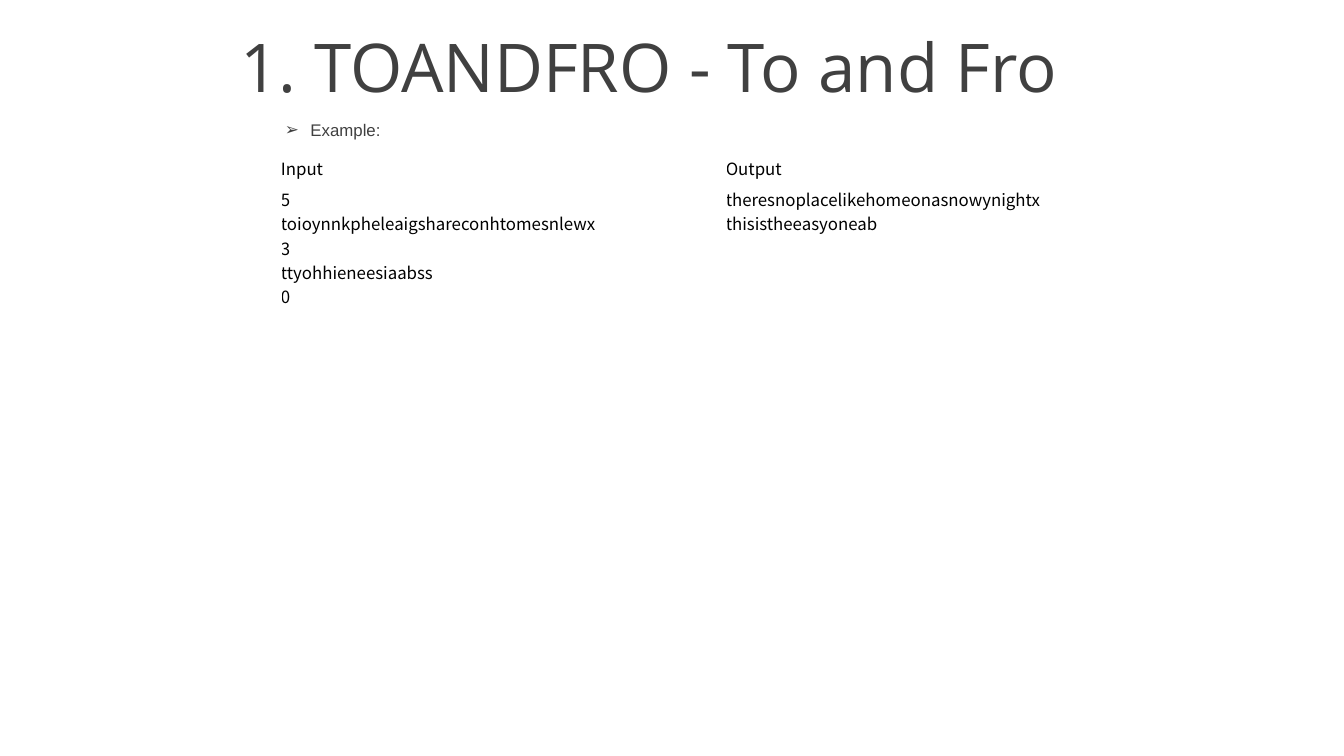
from lxml import etree
from pptx import Presentation
from pptx.dml.color import RGBColor
from pptx.enum.text import MSO_ANCHOR, MSO_AUTO_SIZE, PP_ALIGN
from pptx.oxml.ns import qn
from pptx.util import Inches, Pt

TOP, MIDDLE = MSO_ANCHOR.TOP, MSO_ANCHOR.MIDDLE
LEFT, JUSTIFY = PP_ALIGN.LEFT, PP_ALIGN.JUSTIFY
NO_FIT = MSO_AUTO_SIZE.NONE
GRAY, BLACK = RGBColor(0x40, 0x40, 0x40), RGBColor(0, 0, 0)

TITLE = "1. TOANDFRO - To and Fro"
LEAD = "Example:"
SAMPLES = [
    ("Input", ["5", "toioynnkpheleaigshareconhtomesnlewx", "3",
               "ttyohhieneesiaabss", "0"]),
    ("Output", ["theresnoplacelikehomeonasnowynightx",
                "thisistheeasyoneab"]),
]
FONTS = {
    "title": {"name": "Open Sans", "size": Pt(36), "color": GRAY},
    "lead": {"name": "Arial", "size": Pt(9), "color": GRAY},
    "cell": {"name": "Noto Sans CJK KR", "size": Pt(9), "color": BLACK},
}
SIDES = ("left", "top", "right", "bottom")
WIDE = Inches(10)
COL_W, ROWS = 3.31, (0.23, 0.9)


def place(shape, left, top, width, height):
    """Set the position and size of a shape in inches."""
    box = {"left": left, "top": top, "width": width, "height": height}
    for key, val in box.items():
        setattr(shape, key, Inches(val))


def pad(owner, *gaps):
    """Set the four inner margins of a cell or text frame in inches."""
    for side, gap in zip(SIDES, gaps):
        setattr(owner, "margin_" + side, Inches(gap))


def write(frame, lines, style, align=LEFT):
    """Fill a text frame with one styled paragraph per line."""
    for num, line in enumerate(lines):
        par = frame.add_paragraph() if num else frame.paragraphs[0]
        par.alignment = align
        run = par.add_run()
        run.text = line
        for key, val in FONTS[style].items():
            if key == "color":
                run.font.color.rgb = val
            else:
                setattr(run.font, key, val)


def bullet(par, char, indent):
    """Give a paragraph a hanging bullet."""
    props = par._p.get_or_add_pPr()
    props.set("marL", str(Inches(indent)))
    props.set("indent", str(-Inches(indent)))
    etree.SubElement(props, qn("a:buFont")).set("typeface", "Arial")
    etree.SubElement(props, qn("a:buChar")).set("char", char)


def fill_holder(holder, box, gaps, anchor, text, style):
    """Place and fill a placeholder, and return its paragraph."""
    place(holder, *box)
    frame = holder.text_frame
    pad(frame, *gaps)
    for key, val in {"word_wrap": True, "auto_size": NO_FIT,
                     "vertical_anchor": anchor}.items():
        setattr(frame, key, val)
    write(frame, [text], style)
    return frame.paragraphs[0]


def add_samples(slide):
    """Add the table of sample input and output."""
    size = (COL_W * len(SAMPLES), sum(ROWS))
    frame = slide.shapes.add_table(len(ROWS), len(SAMPLES),
                                   *map(Inches, (2.09, 1.16) + size))
    table = frame.table
    table.first_row = table.horz_banding = False
    for row, height in zip(table.rows, ROWS):
        row.height = Inches(height)
    for col, (head, lines) in enumerate(SAMPLES):
        table.columns[col].width = Inches(COL_W)
        for row, (text, align) in enumerate([([head], JUSTIFY), (lines, LEFT)]):
            cell = table.cell(row, col)
            cell.fill.background()
            pad(cell, 0, 0, 0, 0)
            write(cell.text_frame, text, "cell", align)


deck = Presentation()
deck.slide_width, deck.slide_height = WIDE, WIDE * 9 // 16
slide = deck.slides.add_slide(deck.slide_layouts[1])
fill_holder(slide.shapes.title, (1.69, 0, 8.31, 0.97),
            (0.1, 0.05, 0.1, 0.05), MIDDLE, TITLE, "title")
lead = fill_holder(slide.placeholders[1], (1.69, 0.84, 7.95, 4.23),
                   (0.43, 0.05, 0.1, 0.05), TOP, LEAD, "lead")
lead.space_before = Pt(1.8)
bullet(lead, "\u27a2", 0.19)
add_samples(slide)
deck.save("out.pptx")
